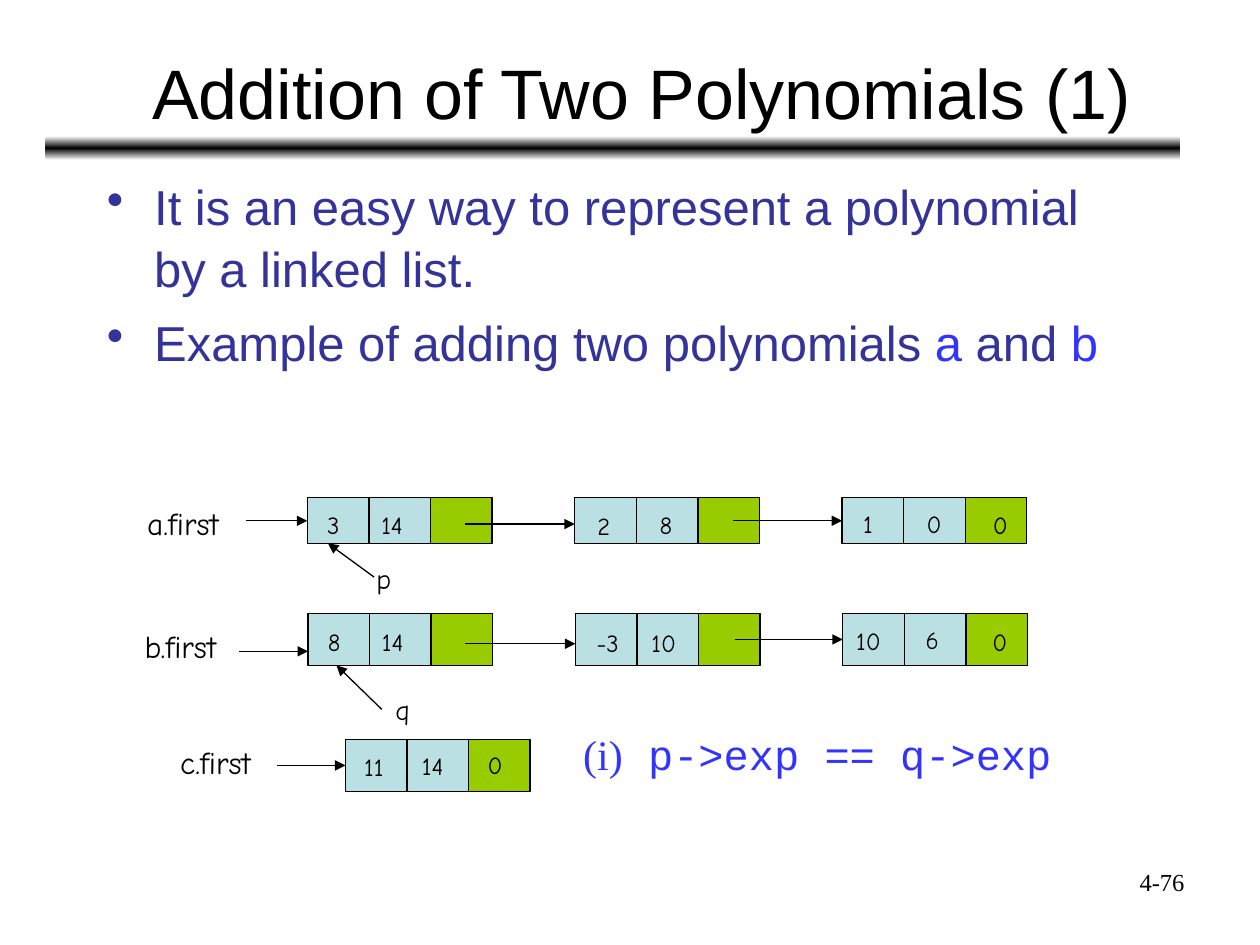
from copy import deepcopy

from lxml import etree
from pptx import Presentation
from pptx.dml.color import RGBColor
from pptx.enum import shapes, text
from pptx.oxml import ns
from pptx.util import Pt

BLACK = RGBColor(0, 0, 0)
WHITE = RGBColor(0xFF, 0xFF, 0xFF)
NAVY = RGBColor(0x33, 0x33, 0x99)
BLUE = RGBColor(0x33, 0x33, 0xFF)
PALE = RGBColor(0xBB, 0xE0, 0xE3)
GREEN = RGBColor(0x99, 0xCC, 0x00)
HAND = "Comic Neue"

TITLE = "Addition of Two Polynomials (1)"
BULLETS = [
    [("It is an easy way to represent a polynomial by a linked list.", NAVY)],
    [("Example of adding two polynomials ", NAVY), ("a", BLUE),
     (" and ", NAVY), ("b", BLUE)],
]
# Each node holds three cells: coefficient, exponent, link.
# A cell is (value, left offset, top offset); None is a link to the next node.
LISTS = [
    dict(name="a.first", label=(77, 284.4), left=175.6, top=284.4, height=26.4,
         arrows=[(140.4, 298.8), (265.7, 299.5), (419, 298.1)],
         nodes=[[("3", 4.3, 3.6), ("14", 0, 3.6), None],
                [("2", 5.8, 4.3), ("8", 6.3, 3.6), None],
                [("1", 5, 2.9), ("0", 6, 2.9), ("0", 8.6, 3.6)]]),
    dict(name="b.first", label=(75.6, 355), left=176, top=350.6, height=29.6,
         arrows=[(136.8, 372.2), (265.7, 367.9), (419.8, 366.5)],
         nodes=[[("8", 4.3, 4.3), ("14", 0, 4.3), None],
                [("-3", 5, 5), ("10", 1.2, 5), None],
                [("10", 0.6, 3.6), ("6", 5, 2.9), ("0", 8, 4.3)]]),
    dict(name="c.first", label=(95.8, 421.2), left=197.4, top=422.6, height=29.6,
         arrows=[(158.4, 436.3)],
         nodes=[[("11", 3.6, 3.6), ("14", 1.4, 2.9), ("0", 3.8, 2.2)]]),
]
POINTERS = [  # name, label position, arrow start, arrow end
    ("p", (208, 317.5), (213.8, 329.8), (187.4, 310.5)),
    ("q", (218.9, 392.4), (218.2, 405.4), (192.3, 380.2)),
]
CELL, NODE_PITCH = 35.2, 152.8
SNAP = 1.5  # an arrow this close to a cell's middle is joined there

prs = Presentation()
prs.slide_width, prs.slide_height = Pt(720), Pt(540)
s = prs.slides.add_slide(prs.slide_layouts[6])


def set_format(obj, **values):
    for name, value in values.items():
        setattr(obj, name, value)


def add_run(p, words, font, size, color):
    r = p.add_run()
    r.text = words
    set_format(r.font, name=font, size=Pt(size))
    r.font.color.rgb = color


def add_text(x, y, w, h, runs, align=text.PP_ALIGN.LEFT,
             anchor=text.MSO_ANCHOR.TOP):
    """Text box with one paragraph of (words, font, size, colour) runs."""
    tf = s.shapes.add_textbox(Pt(x), Pt(y), Pt(w), Pt(h)).text_frame
    set_format(tf, word_wrap=True, vertical_anchor=anchor)
    p = tf.paragraphs[0]
    p.alignment = align
    for run in runs:
        add_run(p, *run)
    return tf


def add_arrow(x1, y1, x2, y2):
    line = s.shapes.add_connector(shapes.MSO_CONNECTOR.STRAIGHT,
                                  Pt(x1), Pt(y1), Pt(x2), Pt(y2))
    line.line.color.rgb = BLACK
    line.line.width = Pt(0.75)
    etree.SubElement(line.line._get_or_add_ln(), ns.qn("a:tailEnd"), type="triangle")
    etree.SubElement(line._element.spPr, ns.qn("a:effectLst"))
    return line


def add_cell(x, y, h, color):
    sp = s.shapes.add_shape(shapes.MSO_SHAPE.RECTANGLE, Pt(x), Pt(y), Pt(CELL), Pt(h))
    sp.shadow.inherit = False
    sp.fill.solid()
    sp.fill.fore_color.rgb = color
    sp.line.color.rgb = BLACK
    sp.line.width = Pt(0.75)
    return sp


def add_rule():
    """Bar under the title, fading from black to white above and below."""
    bar = s.shapes.add_shape(shapes.MSO_SHAPE.ROUNDED_RECTANGLE,
                             Pt(25.9), Pt(77.8), Pt(648.7), Pt(13.7))
    bar.shadow.inherit = False
    bar.line.fill.background()
    bar.fill.gradient()
    bar.fill.gradient_angle = 90
    stops = bar._element.spPr.find(".//" + ns.qn("a:gsLst"))
    stops.append(deepcopy(stops[0]))
    for stop, position, color in zip(bar.fill.gradient_stops, (0, 0.5, 1),
                                     (WHITE, BLACK, WHITE)):
        stop.position = position
        stop.color.rgb = color


def add_bullets():
    tf = add_text(54, 95.8, 606.2, 174.2, [])
    for i, runs in enumerate(BULLETS):
        p = tf.add_paragraph() if i else tf.paragraphs[0]
        pPr = p._p.get_or_add_pPr()
        pPr.set("marL", str(Pt(27)))
        pPr.set("indent", str(-Pt(27)))
        color = etree.SubElement(pPr, ns.qn("a:buClr"))
        etree.SubElement(color, ns.qn("a:srgbClr"), val=str(NAVY))
        etree.SubElement(pPr, ns.qn("a:buChar"), char="•")
        p.line_spacing = 1.05
        if i:
            p.space_before = Pt(7)
        for words, run_color in runs:
            add_run(p, words, "Arial", 28, run_color)


def add_list(name, label, left, top, height, arrows, nodes):
    add_text(*label, 80.6, 28.8, [(name, HAND, 18, BLACK)])
    middle = top + height / 2
    for i, (node, (start, y)) in enumerate(zip(nodes, arrows)):
        x = left + i * NODE_PITCH
        cells = [add_cell(x + j * CELL, top, height, color)
                 for j, color in enumerate((PALE, PALE, GREEN))]
        joined = abs(y - middle) <= SNAP
        if joined:
            y = middle
        arrow = add_arrow(start, y, x, y)
        if joined:
            arrow.end_connect(cells[0], 1)
        for j, cell in enumerate(node):
            if cell:
                value, dx, dy = cell
                add_text(x + j * CELL + dx, top + dy, 20.2 if len(value) == 1 else 33,
                         24.5, [(value, HAND, 14, BLACK)])


add_rule()
add_text(54, 16.6, 625, 63.4, [(TITLE, "Arial", 40, BLACK)],
         text.PP_ALIGN.CENTER, text.MSO_ANCHOR.BOTTOM)
add_bullets()
for linked_list in LISTS:
    add_list(**linked_list)
for name, label, start, end in POINTERS:
    add_text(*label, 20.2, 26.6, [(name, HAND, 16, BLACK)])
    add_arrow(*start, *end)
add_text(326.2, 412.6, 314.6, 36, [("(i)", "Times New Roman", 24, BLUE),
                                   (" p->exp == q->exp", "Courier New", 24, BLUE)])
add_text(516.2, 491.8, 167.8, 37.4, [("4-76", "Times New Roman", 14, BLACK)],
         text.PP_ALIGN.RIGHT)

prs.save("out.pptx")
